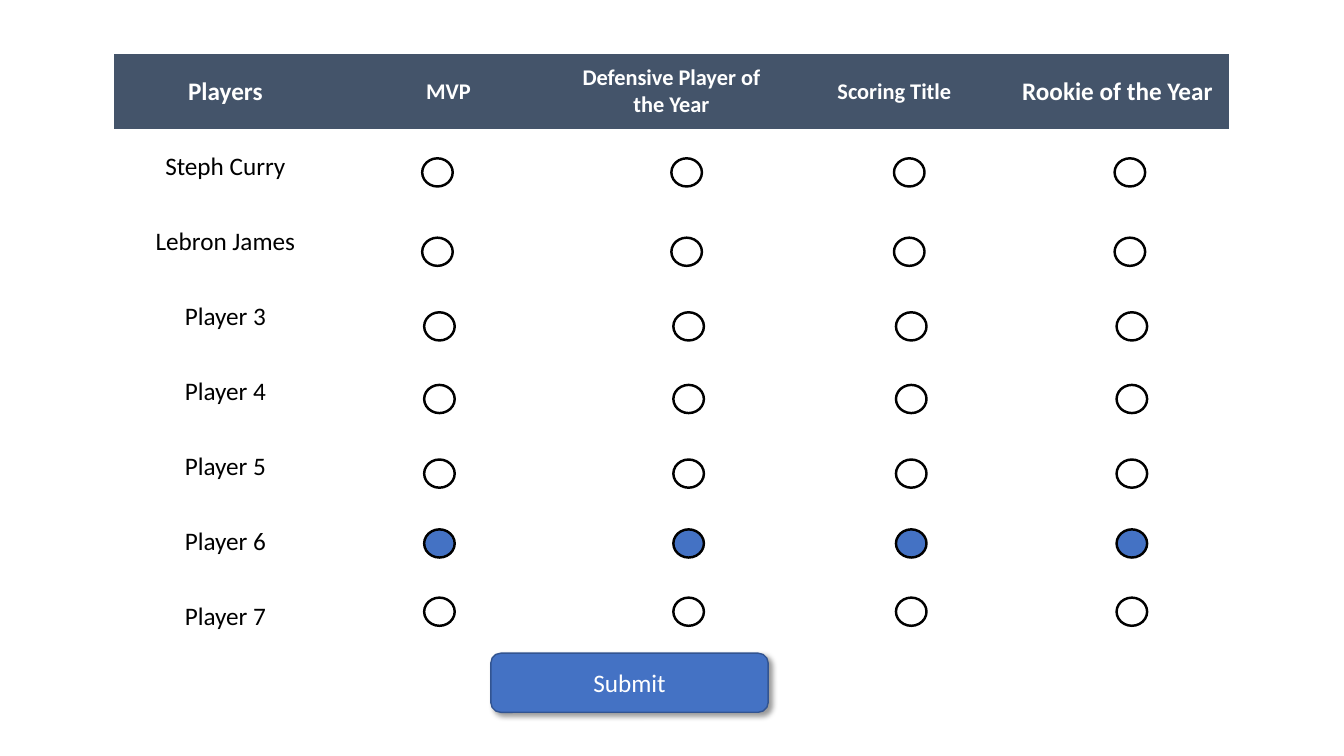
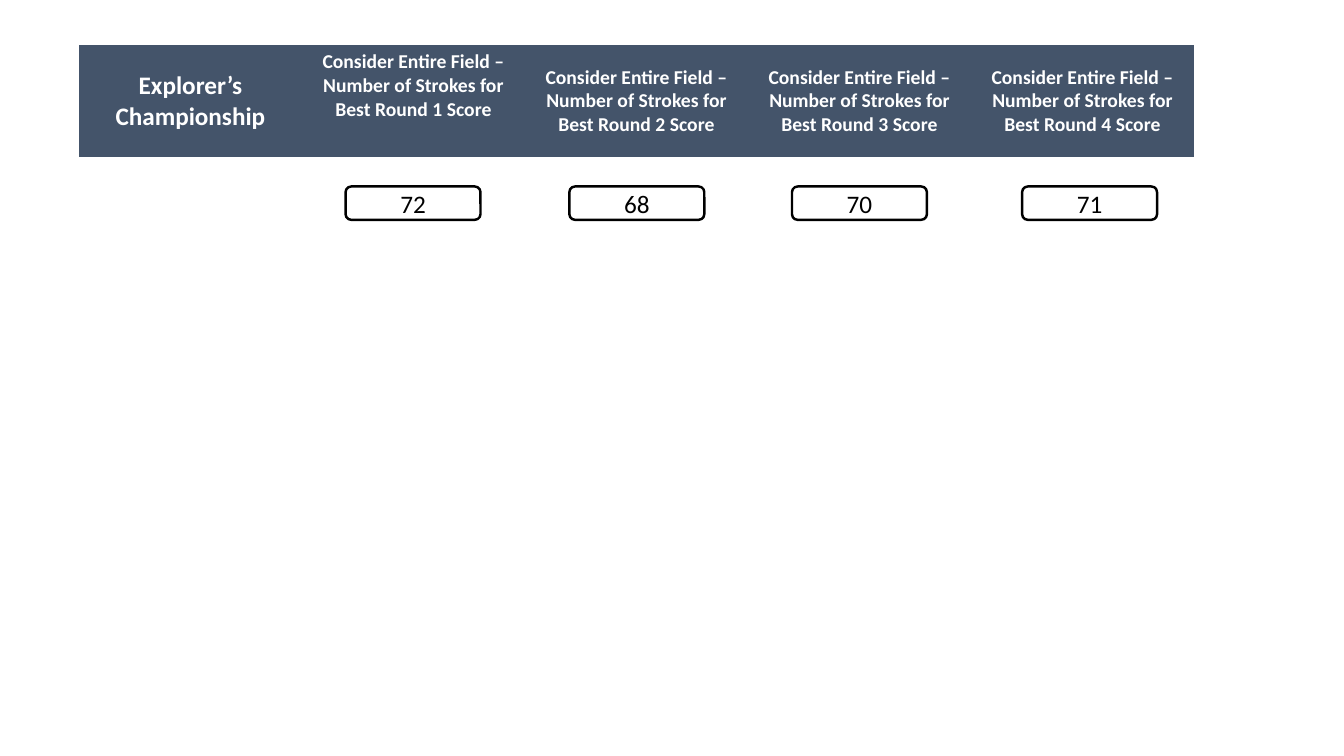
from dataclasses import dataclass
from itertools import product

from lxml import etree
from pptx import Presentation
from pptx import util as u
from pptx.dml.color import RGBColor
from pptx.enum import shapes, text
from pptx.oxml.ns import qn

COLORS = {"header": "44546A", "accent": "4472C4", "edge": "325491",
          "ink": "000000", "paper": "FFFFFF"}
FONT = "Calibri"
NO_STYLE = "{2D5ABB26-0587-4C30-8999-92F81FD0307C}"
COL_W, ROW_H = 5.62, 1.89
OVAL = shapes.MSO_SHAPE.OVAL
ROUNDED = shapes.MSO_SHAPE.ROUNDED_RECTANGLE
MIDDLE = text.MSO_ANCHOR.MIDDLE


@dataclass
class Heading:
    label: str
    size: int = 18
    anchor: text.MSO_ANCHOR = MIDDLE


@dataclass
class Box:
    x: float
    y: float
    w: float
    h: float
    kind: shapes.MSO_SHAPE = ROUNDED
    fill: str = ""
    line: str = "ink"
    weight: float = 1.75
    label: str = ""
    color: str = "ink"


def rgb(name: str) -> RGBColor:
    return RGBColor.from_string(COLORS[name])


def write(tf, label: str, color: str, size: int = 18, bold: bool = False) -> None:
    p = tf.paragraphs[0]
    p.alignment = text.PP_ALIGN.CENTER
    r = p.add_run()
    r.text = label
    for key, value in {"name": FONT, "size": u.Pt(size), "bold": bold}.items():
        setattr(r.font, key, value)
    r.font.color.rgb = rgb(color)


def paint(fill, color: str) -> None:
    if color:
        fill.solid()
        fill.fore_color.rgb = rgb(color)
    else:
        fill.background()


def add_grid(s, x: float, y: float, headings: list[Heading],
             names: list[str], header_h: float = ROW_H) -> None:
    rows, cols = len(names) + 1, len(headings)
    heights = [header_h] + [ROW_H] * len(names)
    table = s.shapes.add_table(rows, cols, u.Cm(x), u.Cm(y),
                               u.Cm(COL_W * cols), u.Cm(sum(heights))).table
    table.first_row = table.horz_banding = False
    table._tbl.tblPr.find(qn("a:tableStyleId")).text = NO_STYLE
    for column in table.columns:
        column.width = u.Cm(COL_W)
    for row, height in zip(table.rows, heights):
        row.height = u.Cm(height)
    for i, j in product(range(rows), range(cols)):
        cell = table.cell(i, j)
        paint(cell.fill, "" if i else "header")
        cell.vertical_anchor = MIDDLE if i else headings[j].anchor
        if i == 0:
            write(cell.text_frame, headings[j].label, "paper", headings[j].size, True)
        elif j == 0 and names[i - 1]:
            write(cell.text_frame, names[i - 1], "ink")


def add_box(s, box: Box):
    sp = s.shapes.add_shape(box.kind, *map(u.Cm, (box.x, box.y, box.w, box.h)))
    sp.shadow.inherit = False
    paint(sp.fill, box.fill)
    sp.line.color.rgb = rgb(box.line)
    sp.line.width = u.Pt(box.weight)
    if box.label:
        sp.text_frame.vertical_anchor = MIDDLE
        write(sp.text_frame, box.label, box.color)
    return sp


def add_shadow(sp) -> None:
    effects = sp._element.spPr.find(qn("a:effectLst"))
    shadow = etree.SubElement(effects, qn("a:outerShdw"), blurRad=str(u.Pt(4)),
                              dist=str(u.Pt(3)), dir="2700000", algn="tl", rotWithShape="0")
    tint = etree.SubElement(shadow, qn("a:srgbClr"), val=COLORS["ink"])
    etree.SubElement(tint, qn("a:alpha"), val="40000")


prs = Presentation()
prs.slide_width, prs.slide_height = u.Cm(33.87), u.Cm(19.05)
blank = prs.slide_layouts[6]

# Slide 1: award ballot
s = prs.slides.add_slide(blank)
players = ["Steph Curry", "Lebron James"] + [f"Player {n}" for n in range(3, 8)]
awards = [Heading("Players"), Heading("MVP", 16),
          Heading("Defensive Player of the Year", 16),
          Heading("Scoring Title", 16), Heading("Rookie of the Year")]
add_grid(s, 2.87, 1.36, awards, players)
add_shadow(add_box(s, Box(12.37, 16.46, 6.99, 1.49, fill="accent", line="edge",
                          weight=1, label="Submit", color="paper")))

# Radio buttons, with the sixth player chosen
button_x = [10.64, 16.92, 22.53, 28.09]
button_y = [3.99, 5.99, 7.87, 9.7, 11.58, 13.34, 15.06]
for x, (n, y) in product(button_x, enumerate(button_y)):
    nudge = 0.05 if n >= 2 else 0
    add_box(s, Box(x + nudge, y, 0.77, 0.71, OVAL,
                   fill="accent" if players[n] == "Player 6" else ""))

# Slide 2: best score of each round
s = prs.slides.add_slide(blank)
rounds = [Heading(f"Consider Entire Field – Number of Strokes for Best Round {n} Score", 14,
                  text.MSO_ANCHOR.TOP if n == 1 else MIDDLE) for n in range(1, 5)]
add_grid(s, 1.99, 1.14, [Heading("Explorer’s Championship")] + rounds, [""] * 7, 2.82)
for x, score in zip([8.71, 14.35, 19.96, 25.76], ["72", "68", "70", "71"]):
    add_box(s, Box(x, 4.7, 3.4, 0.84, label=score))

prs.save("out.pptx")
